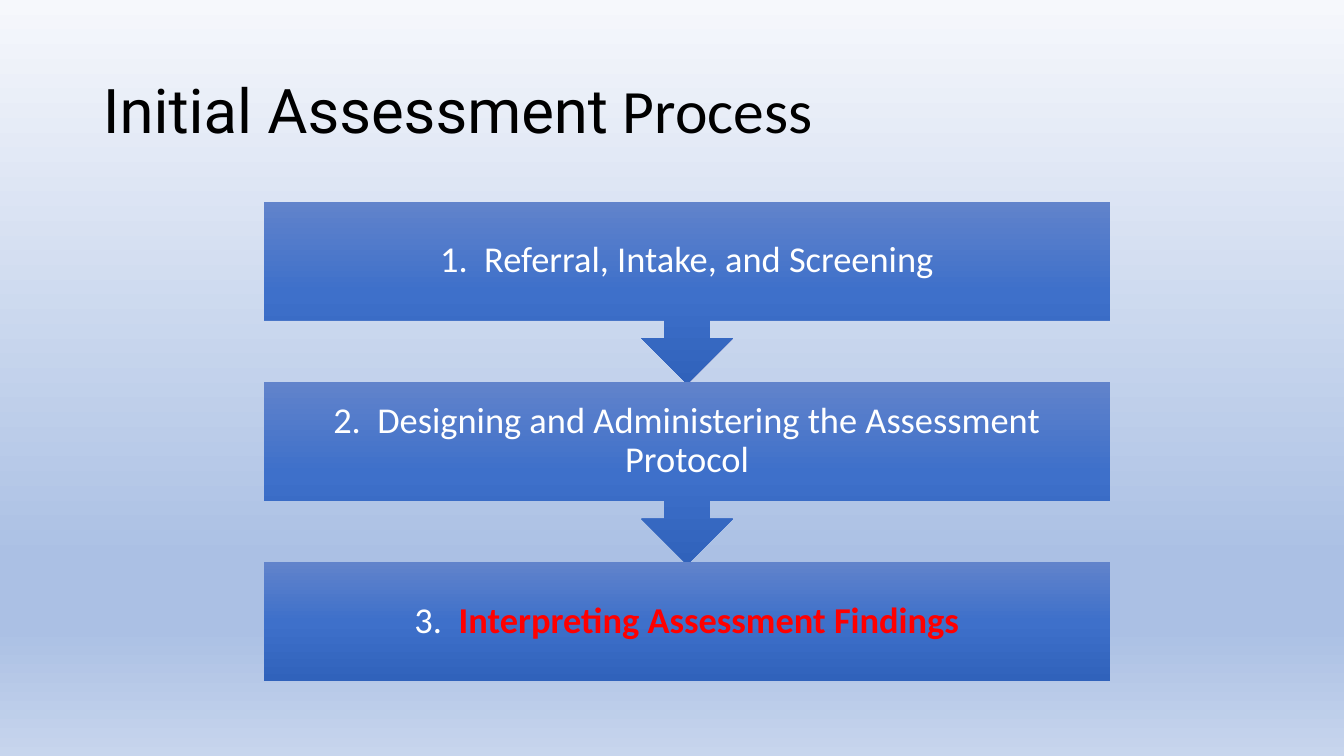
import pptx
import pptx.dml.color
import pptx.enum.shapes
import pptx.enum.text
import pptx.oxml
import pptx.oxml.ns
import pptx.util

Inches = pptx.util.Inches
Color = pptx.dml.color.RGBColor
Shape = pptx.enum.shapes.MSO_SHAPE
Align = pptx.enum.text.PP_ALIGN
qn = pptx.oxml.ns.qn

BLACK = Color(0x00, 0x00, 0x00)
WHITE = Color(0xFF, 0xFF, 0xFF)
RED = Color(0xFF, 0x00, 0x00)
PALE = Color(0xF6, 0xF8, 0xFC)
MIST = Color(0xAB, 0xC0, 0xE4)
HAZE = Color(0xC7, 0xD5, 0xED)
LIGHT_BLUE = Color(0x61, 0x83, 0xCB)
MID_BLUE = Color(0x3E, 0x70, 0xCA)
DARK_BLUE = Color(0x30, 0x62, 0xBB)

# Content: each text is a list of (words, font format)
TITLE_FONT = {"size": 44, "color": BLACK}
STEP_FONT = {"size": 26, "color": WHITE, "name": "Calibri"}
TITLE = [
    ("Initial Assessment", {**TITLE_FONT, "name": "Roboto"}),
    (" Process", {**TITLE_FONT, "name": "Calibri"}),
]
STEPS = [
    [("1.  Referral, Intake, and Screening", STEP_FONT)],
    [("2.  Designing and Administering the Assessment Protocol", STEP_FONT)],
    [("3.  ", STEP_FONT),
     ("Interpreting Assessment Findings", {**STEP_FONT, "color": RED, "bold": True})],
]
BACKGROUND_STOPS = [(0, PALE), (74, MIST), (83, MIST), (100, HAZE)]
STEP_STOPS = [(0, LIGHT_BLUE), (50, MID_BLUE), (100, DARK_BLUE)]

# Layout of the step column, in inches
LEFT, TOP, WIDTH, PITCH = 2.62, 2.0, 8.39, 1.79
BOX_HEIGHT, CALLOUT_HEIGHT, STEP_INSET = 1.18, 1.81, 0.2


def fill_gradient(fill, element, stops):
    """Fill from top to bottom with the given (percent, colour) stops."""
    fill.gradient()
    fill.gradient_angle = 270
    stop_list = next(element.iter(qn("a:gsLst")))
    stop_list.clear()
    for percent, color in stops:
        stop = pptx.oxml.parse_xml(
            f'<a:gs {pptx.oxml.ns.nsdecls("a")} pos="{percent * 1000}">'
            f'<a:srgbClr val="{color}"/></a:gs>')
        stop_list.append(stop)


def write_text(shape, spans, alignment, inset=None):
    frame = shape.text_frame
    settings = {
        "word_wrap": True,
        "auto_size": pptx.enum.text.MSO_AUTO_SIZE.NONE,
        "vertical_anchor": pptx.enum.text.MSO_ANCHOR.MIDDLE,
    }
    if inset is not None:
        for side in ("left", "top", "right", "bottom"):
            settings[f"margin_{side}"] = Inches(inset)
    for name, value in settings.items():
        setattr(frame, name, value)
    para = frame.paragraphs[0]
    para.alignment = alignment
    para.line_spacing = 0.9
    for words, font_format in spans:
        span = para.add_run()
        span.text = words
        for name, value in font_format.items():
            if name == "color":
                span.font.color.rgb = value
            else:
                setattr(span.font, name, pptx.util.Pt(value) if name == "size" else value)


def main():
    deck = pptx.Presentation()
    deck.slide_width, deck.slide_height = Inches(13.33), Inches(7.5)
    page = deck.slides.add_slide(deck.slide_layouts[5])
    fill_gradient(page.background.fill, page.element, BACKGROUND_STOPS)

    # Title
    title = page.shapes.title
    title.left, title.top = Inches(0.92), Inches(0.4)
    title.width, title.height = Inches(11.5), Inches(1.45)
    write_text(title, TITLE, Align.LEFT)

    # Steps: every box but the last points down to the next
    for index, spans in enumerate(STEPS):
        is_last = index == len(STEPS) - 1
        kind = Shape.RECTANGLE if is_last else Shape.DOWN_ARROW_CALLOUT
        height = BOX_HEIGHT if is_last else CALLOUT_HEIGHT
        step = page.shapes.add_shape(
            kind, Inches(LEFT), Inches(TOP + index * PITCH), Inches(WIDTH), Inches(height))
        step.shadow.inherit = False
        step.line.fill.background()
        fill_gradient(step.fill, step.element, STEP_STOPS)
        write_text(step, spans, Align.CENTER, STEP_INSET)

    deck.save("out.pptx")


if __name__ == "__main__":
    main()
